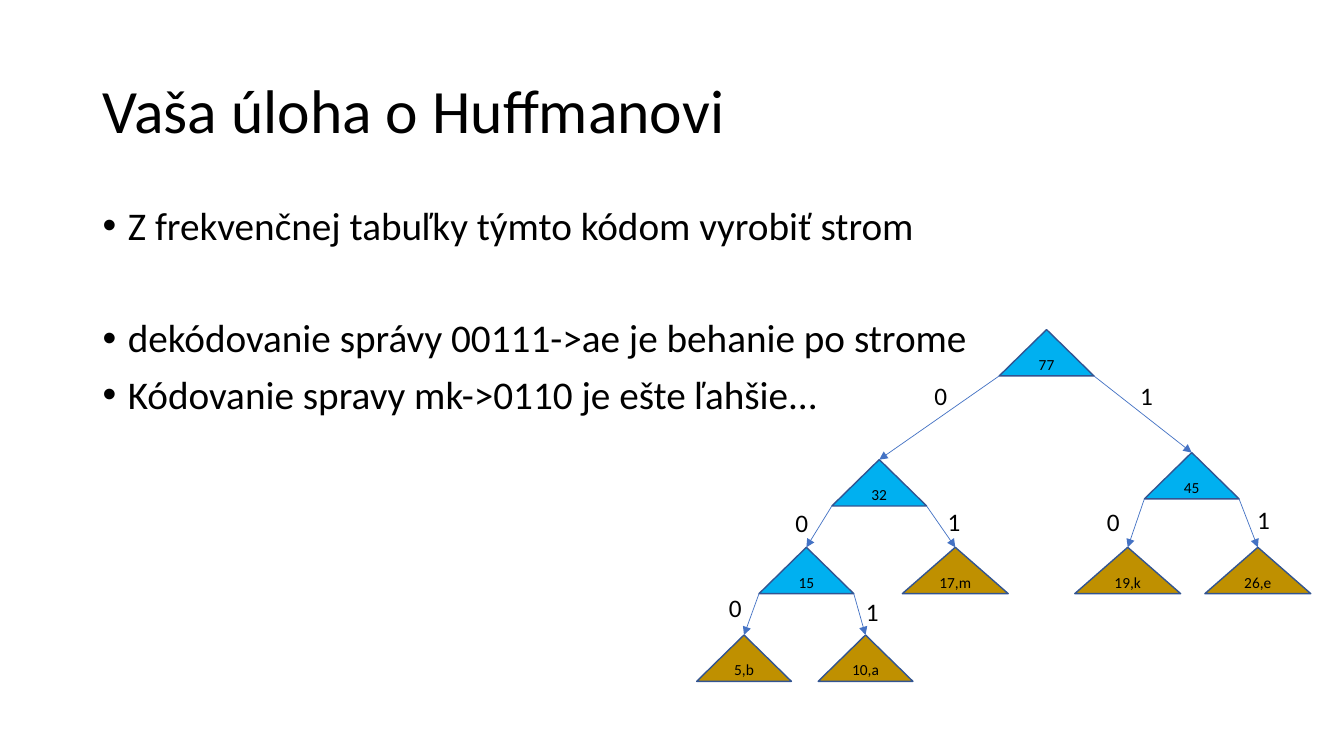
from dataclasses import dataclass

from pptx import Presentation
from pptx.dml.color import RGBColor
from pptx.enum.shapes import MSO_CONNECTOR, MSO_SHAPE
from pptx.enum.text import MSO_ANCHOR, PP_ALIGN
from pptx.oxml.ns import qn
from pptx.oxml.xmlchemy import OxmlElement
from pptx.util import Emu, Inches, Pt

COLORS = {"text": "000000", "inner": "00B0F0", "leaf": "BF9000",
          "outline": "325491", "link": "4472C4"}
FONT = "Calibri"

deck = Presentation()
deck.slide_width, deck.slide_height = Inches(13.33), Inches(7.5)
slide = deck.slides.add_slide(deck.slide_layouts[6])


# Lengths are percentages of the slide's width and height
def across(share: float) -> Emu:
    return Emu(round(deck.slide_width * share / 100))


def down(share: float) -> Emu:
    return Emu(round(deck.slide_height * share / 100))


NODE_WIDTH, WIDE_LEAF, NODE_HEIGHT = 7.05, 7.88, 6.13
LEAF_ROW, BOTTOM_ROW = 72.4, 84
BIT_WIDTH, BIT_HEIGHT = 2.5, 5.33


@dataclass
class Node:
    label: str
    apex: float
    top: float
    bit_at: tuple[float, float] | None = None
    children: tuple["Node", ...] = ()
    width: float = NODE_WIDTH


def rgb(name: str) -> RGBColor:
    return RGBColor.from_string(COLORS[name])


def write(paragraph, text: str, *, size: float, align=PP_ALIGN.LEFT,
          spacing: float = 1, before: float = 0, bullet: bool = False) -> None:
    paragraph.alignment = align
    paragraph.line_spacing = spacing
    paragraph.space_before = Pt(before)
    run = paragraph.add_run()
    run.text = text
    run.font.name, run.font.size = FONT, Pt(size)
    run.font.color.rgb = rgb("text")
    if bullet:
        properties = paragraph._p.get_or_add_pPr()
        properties.set("marL", str(Inches(0.25)))
        properties.set("indent", str(-Inches(0.25)))
        for tag, key, value in (("a:buFont", "typeface", "Arial"),
                                ("a:buChar", "char", "•")):
            mark = OxmlElement(tag)
            mark.set(key, value)
            properties.append(mark)


def text_frame(left: float, top: float, width: float, height: float,
               anchor=MSO_ANCHOR.TOP, wrap: bool = True):
    frame = slide.shapes.add_textbox(
        across(left), down(top), across(width), down(height)).text_frame
    frame.word_wrap, frame.vertical_anchor = wrap, anchor
    return frame


def draw_link(parent: Node, child: Node, bit: int) -> None:
    corner = parent.apex + (bit - 0.5) * parent.width
    link = slide.shapes.add_connector(
        MSO_CONNECTOR.STRAIGHT, across(corner), down(parent.top + NODE_HEIGHT),
        across(child.apex), down(child.top))
    link.line.color.rgb, link.line.width = rgb("link"), Pt(0.5)
    arrow = OxmlElement("a:tailEnd")
    arrow.set("type", "triangle")
    link.line._get_or_add_ln().append(arrow)
    link._element.spPr.append(OxmlElement("a:effectLst"))


def draw_tree(node: Node) -> None:
    triangle = slide.shapes.add_shape(
        MSO_SHAPE.ISOSCELES_TRIANGLE, across(node.apex - node.width / 2),
        down(node.top), across(node.width), down(NODE_HEIGHT))
    triangle.shadow.inherit = False
    triangle.fill.solid()
    triangle.fill.fore_color.rgb = rgb("inner" if node.children else "leaf")
    triangle.line.color.rgb, triangle.line.width = rgb("outline"), Pt(1)
    frame = triangle.text_frame
    frame.word_wrap, frame.vertical_anchor = False, MSO_ANCHOR.MIDDLE
    write(frame.paragraphs[0], node.label, size=11, align=PP_ALIGN.CENTER)
    for bit, child in enumerate(node.children):
        draw_tree(child)
        draw_link(node, child, bit)
        code = text_frame(*child.bit_at, BIT_WIDTH, BIT_HEIGHT, wrap=False)
        write(code.paragraphs[0], str(bit), size=18)


# Title
title = text_frame(6.9, 5.33, 86.27, 19.33, MSO_ANCHOR.MIDDLE)
write(title.paragraphs[0], "Vaša úloha o Huffmanovi", size=44, spacing=0.9)

# Tasks, each with the space above it
TASKS = (("Z frekvenčnej tabuľky týmto kódom vyrobiť strom", 10),
         ("dekódovanie správy 00111->ae je behanie po strome", 50),
         ("Kódovanie spravy mk->0110 je ešte ľahšie...", 10))
tasks = text_frame(6.9, 26.67, 86.27, 63.47)
for index, (task, gap) in enumerate(TASKS):
    paragraph = tasks.add_paragraph() if index else tasks.paragraphs[0]
    write(paragraph, task, size=28, spacing=0.9, before=gap, bullet=True)

# Huffman tree
node_15 = Node("15", 60, LEAF_ROW, (58.44, 66.4), (
    Node("5,b", 55.36, BOTTOM_ROW, (53.49, 77.73)),
    Node("10,a", 64.4, BOTTOM_ROW, (63.69, 78.27))))
node_32 = Node("32", 65.42, 60.8, (68.79, 49.6), (
    node_15, Node("17,m", 71.08, LEAF_ROW, (69.77, 66.27), width=WIDE_LEAF)))
node_45 = Node("45", 88.67, 59.87, (84.1, 49.6), (
    Node("19,k", 83.91, LEAF_ROW, (81.62, 66.27), width=WIDE_LEAF),
    Node("26,e", 93.59, LEAF_ROW, (92.8, 66), width=WIDE_LEAF)))
draw_tree(Node("77", 77.87, 43.6, children=(node_32, node_45)))

deck.save("out.pptx")
